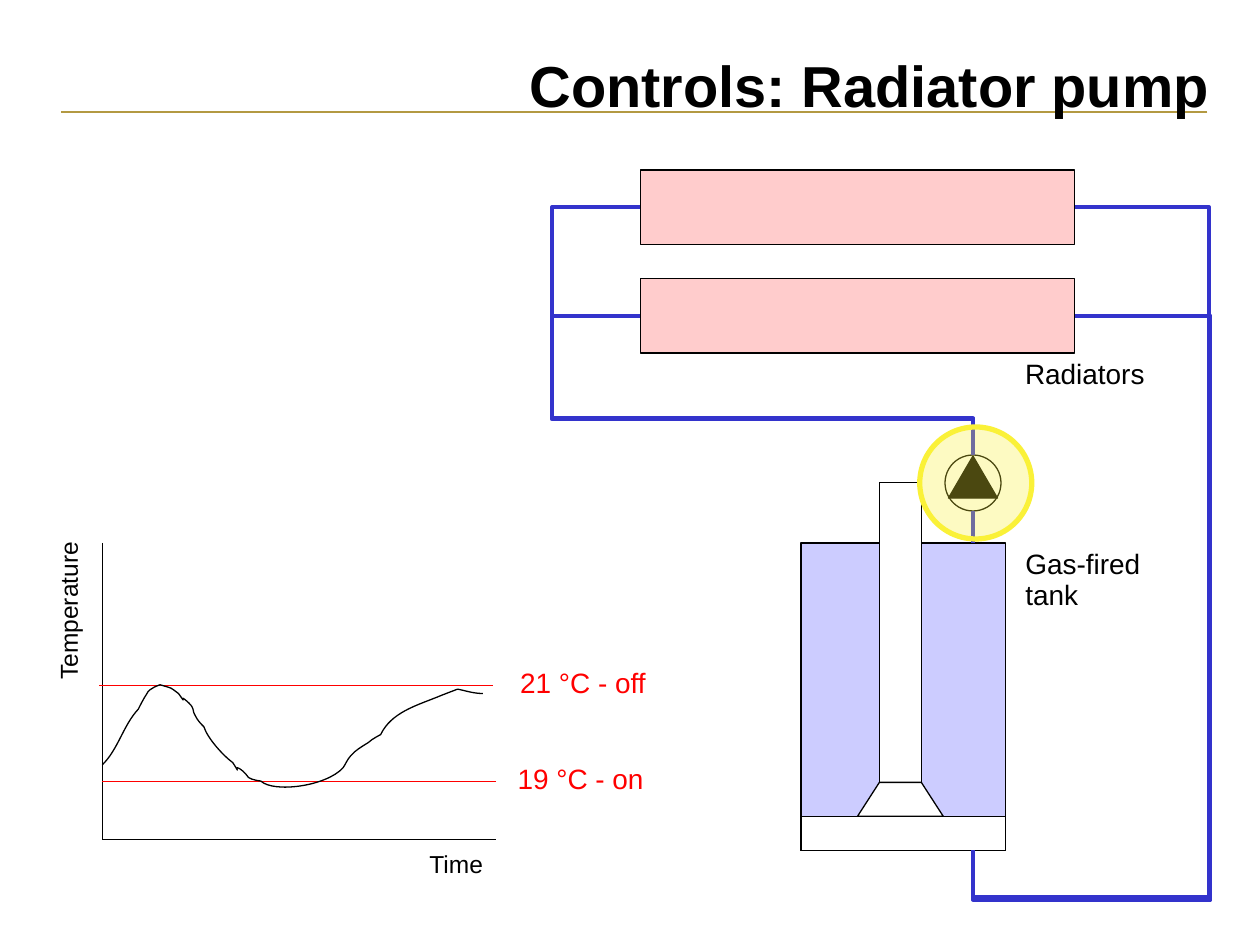
from dataclasses import dataclass

from lxml import etree
from pptx import Presentation
from pptx.dml.color import RGBColor
from pptx.enum.shapes import MSO_CONNECTOR, MSO_SHAPE
from pptx.enum.text import MSO_ANCHOR, MSO_AUTO_SIZE, PP_ALIGN
from pptx.oxml.ns import qn
from pptx.util import Pt

STRAIGHT, ELBOW = MSO_CONNECTOR.STRAIGHT, MSO_CONNECTOR.ELBOW
RECTANGLE, OVAL = MSO_SHAPE.RECTANGLE, MSO_SHAPE.OVAL
TRIANGLE = MSO_SHAPE.ISOSCELES_TRIANGLE
LEFT, RIGHT = PP_ALIGN.LEFT, PP_ALIGN.RIGHT
TOP, MIDDLE = MSO_ANCHOR.TOP, MSO_ANCHOR.MIDDLE
LEFT_SIDE, RIGHT_SIDE = 1, 3


@dataclass(frozen=True)
class Theme:
    font: str = "Arial"
    title: float = 33
    label: float = 16
    axis: float = 14
    thin: float = 0.75
    rule: float = 1.5
    pipe: float = 2.25
    ring: float = 3
    ink: str = "000000"
    paper: str = "FFFFFF"
    gold: str = "B39942"
    water: str = "CCCCFF"
    radiator: str = "FFCCCC"
    blue: str = "3333CC"
    red: str = "FF0000"
    yellow: str = "FAF138"


@dataclass(frozen=True)
class Box:
    left: float
    top: float
    width: float
    height: float

    @property
    def right(self):
        return self.left + self.width

    @property
    def bottom(self):
        return self.top + self.height

    @property
    def middle(self):
        return self.top + self.height / 2

    def lengths(self):
        return [Pt(value) for value in (self.left, self.top, self.width, self.height)]


THEME = Theme()


def paint(shape, fill=None, line=THEME.ink, weight=THEME.thin):
    shape.shadow.inherit = False
    if fill:
        shape.fill.solid()
        shape.fill.fore_color.rgb = RGBColor.from_string(fill)
    else:
        shape.fill.background()
    shape.line.color.rgb = RGBColor.from_string(line)
    shape.line.width = Pt(weight)
    return shape


def add_part(shapes, kind, box, fill, **outline):
    return paint(shapes.add_shape(kind, *box.lengths()), fill, **outline)


def add_line(page, start, end, color=THEME.ink, weight=THEME.thin, kind=STRAIGHT):
    line = page.shapes.add_connector(kind, *[Pt(value) for value in (*start, *end)])
    line.line.color.rgb = RGBColor.from_string(color)
    line.line.width = Pt(weight)
    etree.SubElement(line._element.spPr, qn("a:effectLst"))
    return line


def add_pipe(page, start, end, lane_x, lane_y):
    """Run from start across to lane_x, along to lane_y, then back to end."""
    pipe = add_line(page, start, end, THEME.blue, THEME.pipe, ELBOW)
    geometry = pipe._element.spPr.find(qn("a:prstGeom"))
    geometry.set("prst", "bentConnector4")
    guides = geometry.find(qn("a:avLst"))
    if guides is None:
        guides = etree.SubElement(geometry, qn("a:avLst"))
    shares = ((lane_x - start[0]) / (end[0] - start[0]),
              (lane_y - start[1]) / (end[1] - start[1]))
    for number, share in enumerate(shares, 1):
        etree.SubElement(guides, qn("a:gd"), name=f"adj{number}",
                         fmla=f"val {round(share * 100000)}")
    return pipe


def add_text(page, box, text, size=THEME.label, color=THEME.ink, bold=False,
             align=LEFT, anchor=TOP, insets=(7.2, 3.6), spacing=0.93,
             wrap=False, rotation=0):
    shape = page.shapes.add_textbox(*box.lengths())
    shape.rotation = rotation
    frame = shape.text_frame
    frame.word_wrap = wrap
    frame.auto_size = MSO_AUTO_SIZE.NONE if wrap else MSO_AUTO_SIZE.SHAPE_TO_FIT_TEXT
    frame.vertical_anchor = anchor
    frame.margin_left = frame.margin_right = Pt(insets[0])
    frame.margin_top = frame.margin_bottom = Pt(insets[1])
    para = frame.paragraphs[0]
    para.alignment = align
    para.line_spacing = spacing
    for index, row in enumerate(text.split("\n")):
        if index:
            para.add_line_break()
        span = para.add_run()
        span.text = row
        span.font.name = THEME.font
        span.font.size = Pt(size)
        span.font.bold = bold
        span.font.color.rgb = RGBColor.from_string(color)


def add_outline(page, points, close):
    points = [(Pt(x), Pt(y)) for x, y in points]
    builder = page.shapes.build_freeform(*points[0])
    builder.add_line_segments(points[1:], close=close)
    return builder.convert_to_shape()


def add_curve(page, points):
    """Draw cubic curves: a first point, then three points for each curve."""
    curve = paint(add_outline(page, points, close=False))
    steps = list(curve._element.iter(qn("a:lnTo")))
    for first, second, third in zip(steps[::3], steps[1::3], steps[2::3]):
        first.tag = qn("a:cubicBezTo")
        for step in (second, third):
            first.append(step[0])
            step.getparent().remove(step)


def draw_title(page, box):
    add_line(page, (box.right - 1.2, 64.1), (box.left - 1.4, 64.1), THEME.gold, THEME.rule)
    add_text(page, box, "Controls: Radiator pump", size=THEME.title, bold=True,
             align=RIGHT, anchor=MIDDLE, insets=(0, 0), spacing=0.84, wrap=True)


def draw_tank(page, box):
    add_part(page.shapes, RECTANGLE, box, THEME.water)
    for y in (box.top, box.bottom):
        add_line(page, (box.left + 21.6, y), (box.left + 98.6, y))
    base = Box(box.left, box.bottom - 19.5, box.width, 19.5)
    flue = Box(box.left + 44.8, box.top - 34.4, 24, 171.2)
    add_part(page.shapes, RECTANGLE, flue, THEME.paper)
    hood = [(flue.left, flue.bottom), (flue.right, flue.bottom),
            (flue.right + 12.5, base.top), (flue.left - 12.5, base.top)]
    paint(add_outline(page, hood, close=True), THEME.paper)
    add_part(page.shapes, RECTANGLE, base, THEME.paper)
    add_text(page, Box(box.right + 4.5, box.top, 80, 43), "Gas-fired\ntank")


def draw_pump(page, box):
    pump = page.shapes.add_group_shape()
    add_part(pump.shapes, OVAL, box, THEME.paper)
    add_part(pump.shapes, TRIANGLE, Box(box.left + 2, box.top + 0.6, 28, 24), THEME.ink)


def draw_radiators(page, box):
    height = 42.5
    radiators = [Box(box.left, top, box.width, height)
                 for top in (box.top, box.bottom - height)]
    add_text(page, Box(box.right - 35.5, box.bottom, 83, 25), "Radiators")
    return [(place, add_part(page.shapes, RECTANGLE, place, THEME.radiator))
            for place in radiators]


def draw_pipes(page, box, radiators, pump, tank):
    """Join the radiators to pump and tank; box gives the outer pipe lanes."""
    x = pump.left + pump.width / 2
    add_line(page, (x, pump.bottom), (x, tank.top), THEME.blue, THEME.pipe)
    for index, (place, radiator) in enumerate(radiators):
        supply = add_pipe(page, (place.left, place.middle), (x, pump.top),
                          box.left, box.top + 0.6 * index)
        supply.begin_connect(radiator, LEFT_SIDE)
        back = add_pipe(page, (place.right, place.middle), (x, tank.bottom),
                        box.right + 0.8 * index, box.bottom + 1.4 * index)
        back.begin_connect(radiator, RIGHT_SIDE)


def draw_highlight(page, box):
    ring = add_part(page.shapes, OVAL, box, THEME.yellow,
                    line=THEME.yellow, weight=THEME.ring)
    color = ring._element.spPr.find(qn("a:solidFill"))[0]
    etree.SubElement(color, qn("a:alpha"), val="30000")


def draw_temperature_graph(page, box):
    add_line(page, (box.left, box.top), (box.left, box.bottom))
    add_line(page, (box.left, box.bottom), (box.right, box.bottom))
    add_text(page, Box(box.left - 65.7, box.top + 26.6, 94.3, 23), "Temperature",
             size=THEME.axis, rotation=270)
    add_text(page, Box(box.right - 45.2, box.bottom + 3.4, 45.4, 23), "Time", size=THEME.axis)
    for text, y, shift, gap in (("19 °C - on", 136.1, 0, 5.2), ("21 °C - off", 81.4, -2, 8.7)):
        y += box.top
        add_line(page, (box.right + shift, y), (box.left + shift, y), THEME.red)
        add_text(page, Box(box.right + shift + gap, y - 13, 86.4, 25), text, color=THEME.red)
    swing = [
        (0, 126.7), (9, 118), (12, 104), (20.5, 95), (22, 92), (23.5, 89), (25.5, 86),
        (26.5, 83), (33, 81), (33, 81), (41, 83.5), (38, 82), (43.5, 86),
        (50, 95), (41.5, 84), (49.5, 91.5), (53, 95), (51, 95), (53, 98.5),
        (54.5, 101.5), (56, 103), (58, 105), (60, 111.5), (69, 121.5), (74.5, 125.5),
        (81, 135.5), (72.5, 124), (80.5, 130.5), (82, 131), (82, 133), (83.5, 134),
        (85.5, 135.5), (90.5, 136), (90.5, 136), (98, 143), (128, 139), (137.5, 128.5),
        (139, 126.5), (140, 123.5), (142, 121.5), (144.5, 118.5), (148, 116.5), (152, 114),
        (154, 112), (159, 109.5), (159, 109.5), (165, 97), (179, 93), (191.5, 88),
        (195, 86.5), (203, 83.5), (203, 83.5), (208, 84.5), (212, 86), (217.5, 86),
    ]
    add_curve(page, [(box.left + x, box.top + y) for x, y in swing])


def main():
    deck = Presentation()
    deck.slide_width, deck.slide_height = Pt(720), Pt(540)
    page = deck.slides.add_slide(deck.slide_layouts[6])
    tank = Box(457.7, 310.3, 116.7, 175.7)
    pump = Box(540, 260, 32, 32)
    draw_title(page, Box(36, 34, 655.2, 35))
    draw_tank(page, tank)
    draw_pump(page, pump)
    radiators = draw_radiators(page, Box(365.8, 97.2, 248.4, 104.6))
    draw_pipes(page, Box(315.4, 239, 375.6, 273.6), radiators, pump, tank)
    draw_highlight(page, Box(525.6, 244, 64, 64))
    draw_temperature_graph(page, Box(58.5, 310.3, 225, 169.4))
    deck.save("out.pptx")


if __name__ == "__main__":
    main()
